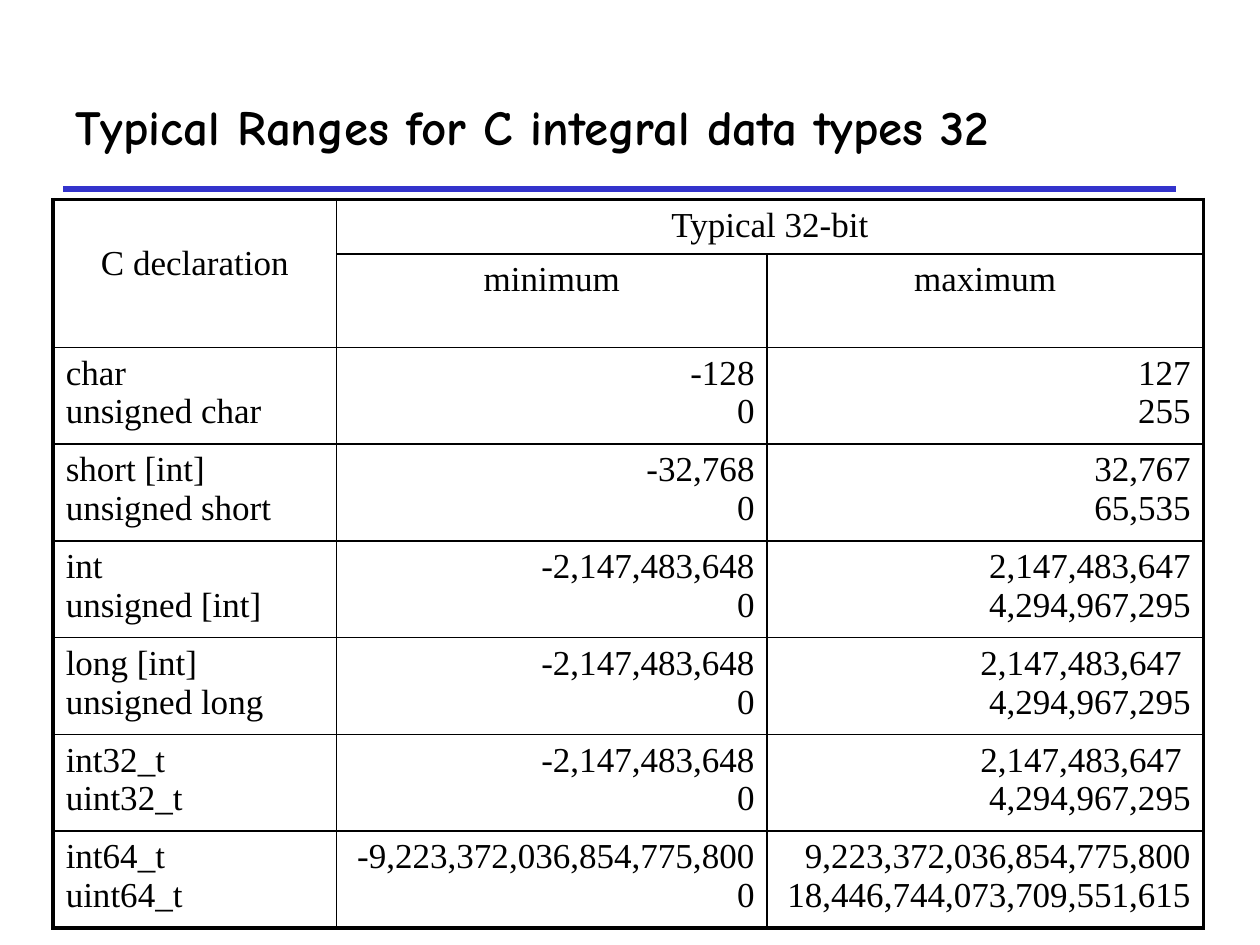
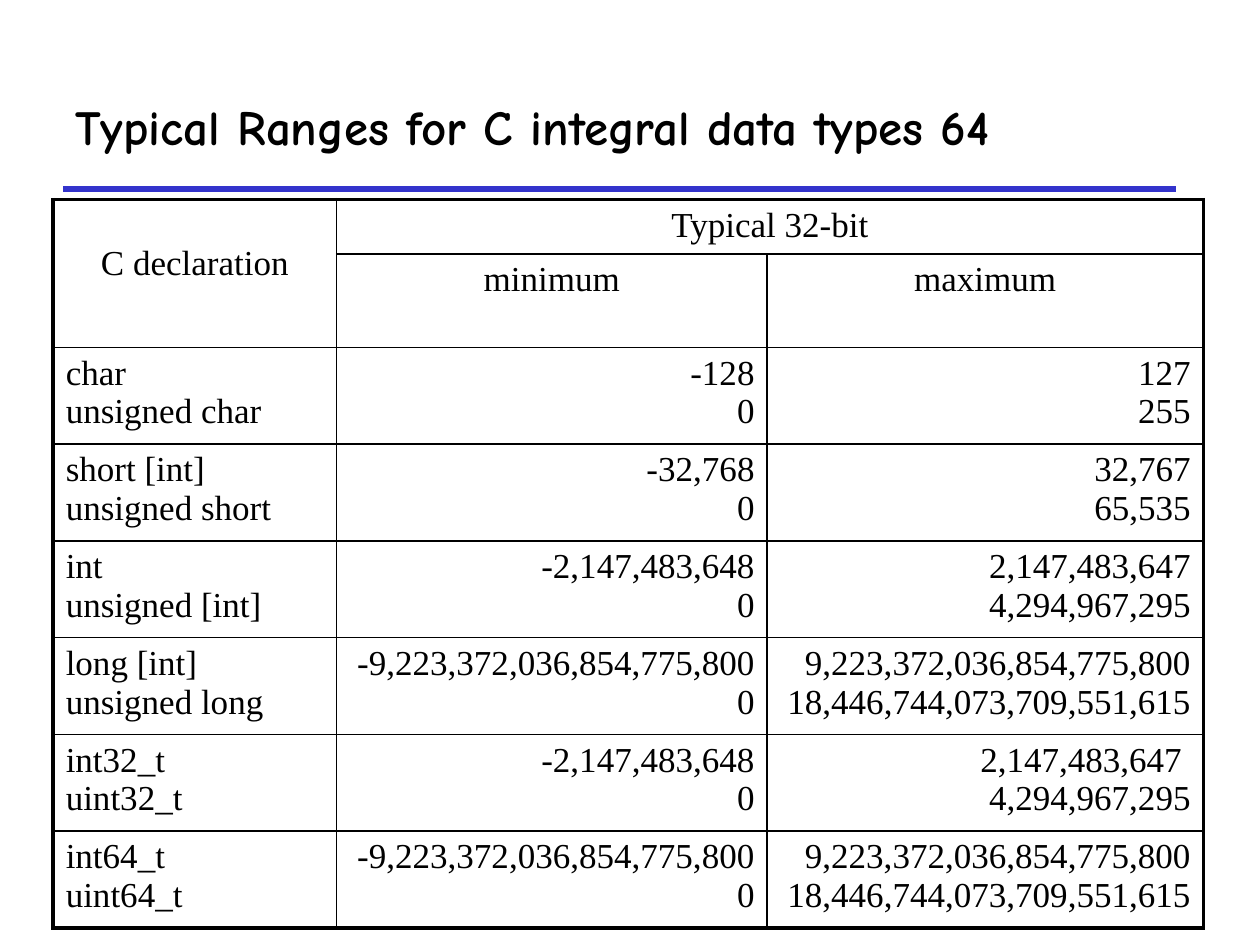
from pptx import Presentation
from pptx.dml.color import RGBColor
from pptx.enum.shapes import MSO_CONNECTOR
from pptx.enum.text import MSO_ANCHOR, PP_ALIGN
from pptx.oxml.ns import qn
from pptx.util import Pt
from lxml.etree import SubElement

# Content: names, minimum and maximum, signed over unsigned
TITLE = "Typical Ranges for C integral data types "
HEAD = [["C declaration", "Typical 32-bit", ""], ["", "minimum", "maximum"]]
INT = ("-2,147,483,648\n0", "2,147,483,647\n4,294,967,295")
PADDED = (INT[0], "2,147,483,647 \n4,294,967,295")
WIDE = ("-9,223,372,036,854,775,800\n0",
        "9,223,372,036,854,775,800\n18,446,744,073,709,551,615")
LONGS = {"32": PADDED, "64": WIDE}


def ranges(bits):
    return HEAD + [
        ["char\nunsigned char", "-128\n0", "127\n255"],
        ["short [int]\nunsigned short", "-32,768\n0", "32,767\n65,535"],
        ["int\nunsigned [int]", *INT],
        ["long [int]\nunsigned long", *LONGS[bits]],
        ["int32_t\nuint32_t", *PADDED],
        ["int64_t\nuint64_t", *WIDE],
    ]


# Shared look
BLACK = RGBColor(0, 0, 0)
WHITE = RGBColor(255, 255, 255)
BLUE = RGBColor(0x33, 0x33, 0xCC)
TITLE_FONT, TABLE_FONT = "Comic Neue", "Times New Roman"
LEFT, WIDTH, RULE_Y = 36, 636, 108
COLS = [162, 246, 249.2]
ROWS = [30.8, 51.8] + [55.3] * 6
THIN, THICK = 1, 2.25
PLAIN_STYLE = "{2D5ABB26-0587-4C30-8999-92F81FD0307C}"


def style(para, font, size, bold=False):
    for run in para.runs:
        run.font.name, run.font.size, run.font.bold = font, Pt(size), bold
        run.font.color.rgb = BLACK


def add_rule(slide):
    rule = slide.shapes.add_connector(
        MSO_CONNECTOR.STRAIGHT, Pt(LEFT), Pt(RULE_Y),
        Pt(LEFT + WIDTH), Pt(RULE_Y))
    rule.line.color.rgb, rule.line.width = BLUE, Pt(3)
    SubElement(rule._element.spPr, qn("a:effectLst"))


def add_title(slide, text):
    box = slide.shapes.add_textbox(Pt(LEFT), Pt(36), Pt(WIDTH), Pt(72))
    frame = box.text_frame
    frame.word_wrap, frame.vertical_anchor = True, MSO_ANCHOR.MIDDLE
    frame.text = text
    style(frame.paragraphs[0], TITLE_FONT, 28, True)


def add_edge(cell, side, width):
    line = SubElement(cell._tc.get_or_add_tcPr(), qn("a:ln" + side),
                      w=str(Pt(width)))
    fill = SubElement(line, qn("a:solidFill"))
    SubElement(fill, qn("a:srgbClr"), val=str(BLACK))


def add_edges(cell, row, col):
    # Thick on the table's rim, thin inside, none within a merged cell
    high = cell.span_height if cell.is_merge_origin else 1
    wide = cell.span_width if cell.is_merge_origin else 1
    rim = {"L": col == 0, "R": col + wide == len(COLS),
           "T": row == 0, "B": row + high == len(ROWS)}
    for side, outer in rim.items():
        if outer or not cell.is_spanned:
            add_edge(cell, side, THICK if outer else THIN)


def fill_cell(cell, text, row, col):
    add_edges(cell, row, col)
    cell.fill.background()
    if cell.is_spanned:
        return
    cell.text = text
    if row < len(HEAD):
        align = PP_ALIGN.CENTER
    else:
        align = PP_ALIGN.RIGHT if col else PP_ALIGN.LEFT
    for para in cell.text_frame.paragraphs:
        para.alignment = align
        style(para, TABLE_FONT, 20)


def add_ranges(slide, data):
    frame = slide.shapes.add_table(len(ROWS), len(COLS), Pt(30.4), Pt(114),
                                   Pt(sum(COLS)), Pt(sum(ROWS)))
    table = frame.table
    table.first_row = table.horz_banding = False
    table._tbl.tblPr.find(qn("a:tableStyleId")).text = PLAIN_STYLE
    for col, width in zip(table.columns, COLS):
        col.width = Pt(width)
    for row, height in zip(table.rows, ROWS):
        row.height = Pt(height)
    table.cell(0, 0).merge(table.cell(1, 0))
    table.cell(0, 1).merge(table.cell(0, 2))
    for row, texts in enumerate(data):
        for col, text in enumerate(texts):
            fill_cell(table.cell(row, col), text, row, col)
    # First heading sits one line down
    table.cell(0, 0).margin_top = Pt(25.7)


def main():
    deck = Presentation()
    deck.slide_width, deck.slide_height = Pt(720), Pt(540)
    for bits in LONGS:
        slide = deck.slides.add_slide(deck.slide_layouts[6])
        slide.background.fill.solid()
        slide.background.fill.fore_color.rgb = WHITE
        add_rule(slide)
        add_title(slide, TITLE + bits)
        add_ranges(slide, ranges(bits))
    deck.save("out.pptx")


if __name__ == "__main__":
    main()
